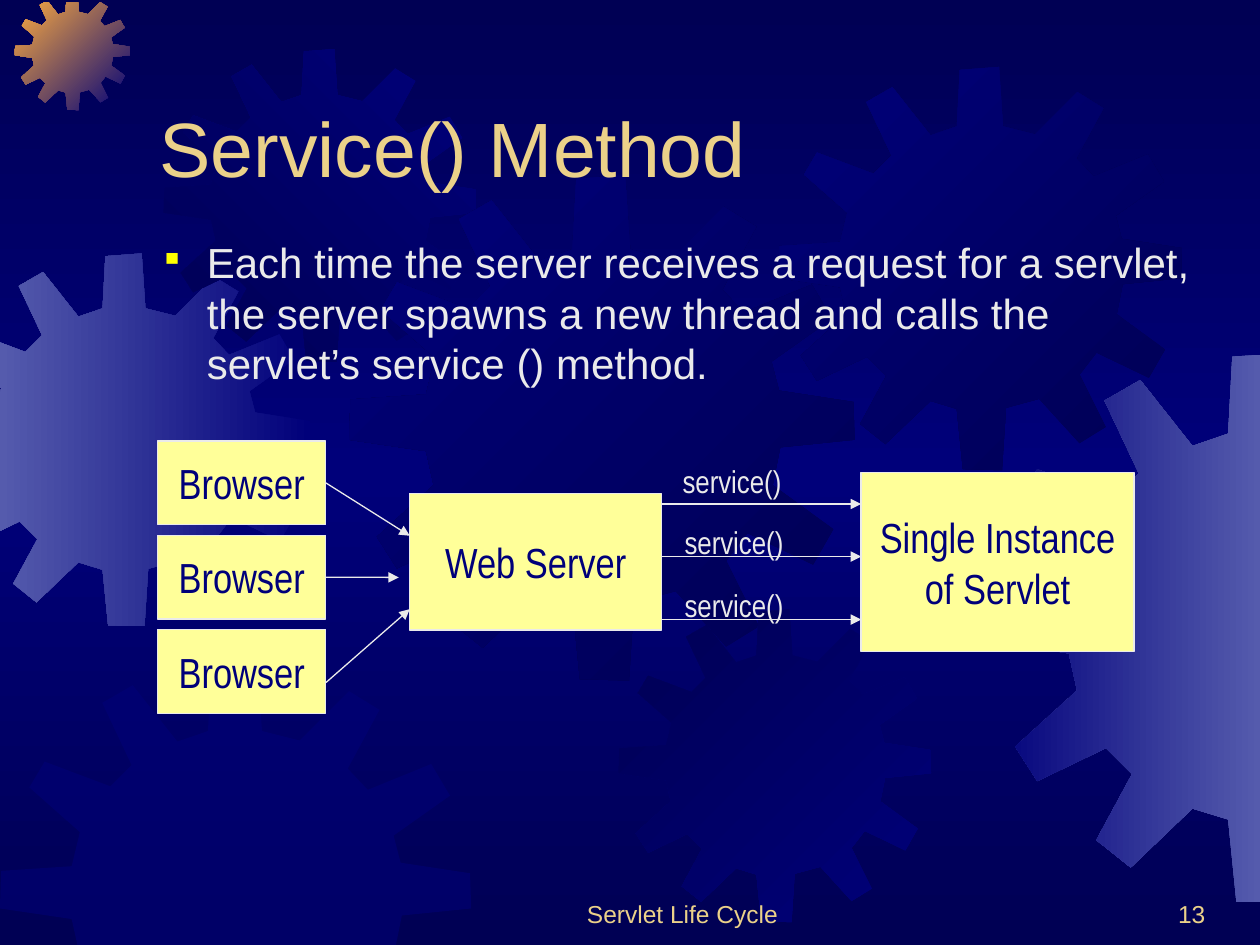
from copy import deepcopy
from itertools import pairwise

from lxml.etree import SubElement
from pptx import Presentation
from pptx.dml.color import RGBColor
from pptx.enum.shapes import MSO_CONNECTOR, MSO_SHAPE
from pptx.enum.text import MSO_ANCHOR, MSO_AUTO_SIZE, PP_ALIGN
from pptx.oxml.ns import qn
from pptx.util import Cm, Pt

NAVY = RGBColor(0x00, 0x00, 0x54)
BLUE = RGBColor(0x00, 0x00, 0x7A)
LAVENDER = RGBColor(0x55, 0x5B, 0xAD)
ORANGE = RGBColor(0xFC, 0xAB, 0x40)
GOLD = RGBColor(0xEB, 0xD1, 0x89)
PALE = RGBColor(0xEA, 0xEA, 0xEA)
CREAM = RGBColor(0xFF, 0xFF, 0x99)

TITLE = "Service() Method"
BODY = ("Each time the server receives a request for a servlet, the server spawns "
        "a new thread and calls the servlet’s service () method.")
FOOTER = "Servlet Life Cycle"
PAGE_NUMBER = "13"

SLIDE_WIDTH, SLIDE_HEIGHT = 25.4, 19.05
GEAR_UNITS = 401
GEAR_OUTLINE = [
    (255, 67), (223, 59), (219, 0), (180, 3), (177, 59), (151, 68), (113, 20), (87, 35),
    (112, 88), (94, 106), (38, 85), (25, 107), (68, 145), (61, 174), (1, 178), (0, 210),
    (61, 219), (67, 246), (22, 287), (38, 312), (88, 288), (107, 307), (81, 355), (106, 375),
    (151, 332), (177, 340), (183, 400), (222, 401), (226, 339), (259, 330), (299, 374), (325, 358),
    (299, 306), (316, 284), (368, 309), (384, 281), (336, 246), (342, 216), (401, 210), (400, 180),
    (341, 171), (335, 148), (383, 114), (367, 87), (313, 109), (296, 91), (323, 41), (297, 25),
]
GEARS = [
    (-1.25, 5.11, 7.52, (BLUE, LAVENDER), 180),
    (0.3, -0.1, 2.32, (BLUE, ORANGE), 135),
    (3.3, 0.99, 6.3, (BLUE, NAVY), 225),
    (7.04, 3.53, 10.19, (NAVY, BLUE), 135),
    (0, 13.34, 9.5, (BLUE,), 0),
    (12.47, 12.29, 6.3, (BLUE, NAVY), 135),
    (15.7, 1.35, 8.13, (NAVY, BLUE), 135),
    (19.86, 7.11, 11.1, (LAVENDER, BLUE), 180),
]

BROWSER_COUNT = 3
BROWSER_LEFT, BROWSER_TOP, BROWSER_WIDTH, BROWSER_HEIGHT = 3.18, 8.89, 3.39, 1.69
BROWSER_PITCH = 1.9
SERVER = (8.26, 9.95, 5.08, 2.75)
SERVLET = (17.36, 9.53, 5.5, 3.6)
REQUESTS = [(10.16, 8.26, 10.8), (11.64, 8.04, 11.64), (13.76, 8.26, 12.28)]
CALLS = [(10.16, 13.51, 9.19), (11.22, 13.55, 10.42), (12.49, 13.55, 11.69)]


def clip(points, axis, limit, sign):
    kept = []
    for start, end in pairwise(points + points[:1]):
        start_inside = sign * (start[axis] - limit) >= 0
        end_inside = sign * (end[axis] - limit) >= 0
        if start_inside:
            kept.append(start)
        if start_inside != end_inside:
            share = (limit - start[axis]) / (end[axis] - start[axis])
            kept.append(tuple(a + share * (b - a) for a, b in zip(start, end)))
    return kept


def paint_gradient(fill, colors, angle):
    fill.gradient()
    fill.gradient_angle = angle
    for stop, color in zip(fill.gradient_stops, colors):
        stop.color.rgb = color


def add_gear(slide, left, top, size, colors, angle):
    points = [(left + x * size / GEAR_UNITS, top + y * size / GEAR_UNITS) for x, y in GEAR_OUTLINE]
    for axis, limit, sign in [(0, 0, 1), (0, SLIDE_WIDTH, -1), (1, 0.05, 1), (1, SLIDE_HEIGHT, -1)]:
        points = clip(points, axis, limit, sign)
    points = [(Cm(x), Cm(y)) for x, y in points]
    builder = slide.shapes.build_freeform(*points[0])
    builder.add_line_segments(points[1:], close=True)
    gear = builder.convert_to_shape()
    gear.shadow.inherit = False
    gear.line.fill.background()
    if len(colors) > 1:
        paint_gradient(gear.fill, colors, angle)
    else:
        gear.fill.solid()
        gear.fill.fore_color.rgb = colors[0]
        color_element = gear._element.spPr.find(".//" + qn("a:srgbClr"))
        SubElement(color_element, qn("a:alpha"), val="50000")


def write(frame, lines, font_name, size, color, align=PP_ALIGN.LEFT, anchor=MSO_ANCHOR.TOP, wrap=True):
    frame.word_wrap = wrap
    frame.vertical_anchor = anchor
    for index, line in enumerate(lines):
        paragraph = frame.add_paragraph() if index else frame.paragraphs[0]
        paragraph.text = line
        paragraph.alignment = align
        paragraph.font.name = font_name
        paragraph.font.size = Pt(size)
        paragraph.font.color.rgb = color


def add_text(slide, box, text, *style, **options):
    shape = slide.shapes.add_textbox(*map(Cm, box))
    write(shape.text_frame, [text], *style, **options)
    return shape


def add_bullet(paragraph):
    properties = paragraph._p.get_or_add_pPr()
    properties.set("marL", str(Cm(0.95)))
    properties.set("indent", str(-Cm(0.95)))
    bullet_color = SubElement(properties, qn("a:buClr"))
    SubElement(bullet_color, qn("a:srgbClr"), val="FFFF00")
    SubElement(properties, qn("a:buSzPct"), val="80000")
    SubElement(properties, qn("a:buChar"), char="▪")


def add_box(slide, box, lines):
    shape = slide.shapes.add_shape(MSO_SHAPE.RECTANGLE, *map(Cm, box))
    shape.shadow.inherit = False
    shape.fill.solid()
    shape.fill.fore_color.rgb = CREAM
    shape.line.color.rgb = PALE
    shape.line.width = Pt(0.75)
    write(shape.text_frame, lines, "Arial Narrow", 24, BLUE, PP_ALIGN.CENTER, MSO_ANCHOR.MIDDLE, wrap=False)
    return shape


def add_arrow(slide, *ends):
    arrow = slide.shapes.add_connector(MSO_CONNECTOR.STRAIGHT, *map(Cm, ends))
    arrow.line.color.rgb = PALE
    arrow.line.width = Pt(0.75)
    SubElement(arrow.line._get_or_add_ln(), qn("a:tailEnd"), type="triangle")
    SubElement(arrow._element.spPr, qn("a:effectLst"))
    return arrow


def main():
    presentation = Presentation()
    presentation.slide_width = Cm(SLIDE_WIDTH)
    presentation.slide_height = Cm(SLIDE_HEIGHT)
    slide = presentation.slides.add_slide(presentation.slide_layouts[6])

    paint_gradient(slide.background.fill, (NAVY, BLUE), 90)
    stops = slide._element.find(".//" + qn("a:gsLst"))
    stops[1].set("pos", "50000")
    last_stop = deepcopy(stops[0])
    last_stop.set("pos", "100000")
    stops.append(last_stop)

    for gear in GEARS:
        add_gear(slide, *gear)

    add_text(slide, (2.97, 0.84, 21.59, 3.18), TITLE, "Arial", 44, GOLD, anchor=MSO_ANCHOR.BOTTOM)
    body = slide.shapes.add_textbox(Cm(2.97), Cm(4.65), Cm(21.59), Cm(11.43))
    add_bullet(body.text_frame.paragraphs[0])
    write(body.text_frame, [BODY], "Arial", 24, PALE)

    server_left, _, server_width, _ = SERVER
    add_box(slide, SERVER, ["Web Server"])
    add_box(slide, SERVLET, ["Single Instance", "of Servlet"])

    for index, (start_y, end_x, end_y) in enumerate(REQUESTS):
        top = BROWSER_TOP + index * BROWSER_PITCH
        browser = add_box(slide, (BROWSER_LEFT, top, BROWSER_WIDTH, BROWSER_HEIGHT), ["Browser"])
        arrow = add_arrow(slide, BROWSER_LEFT + BROWSER_WIDTH, start_y, end_x, end_y)
        if index < BROWSER_COUNT - 1:
            arrow.begin_connect(browser, 3)

    for line_y, label_left, label_top in CALLS:
        add_arrow(slide, server_left + server_width, line_y, SERVLET[0], line_y)
        label = add_text(slide, (label_left, label_top, 2.55, 1.02), "service()", "Arial Narrow", 18, PALE, wrap=False)
        label.text_frame.auto_size = MSO_AUTO_SIZE.SHAPE_TO_FIT_TEXT

    add_text(slide, (9.74, 17.57, 8.04, 1.27), FOOTER, "Arial", 14, GOLD, PP_ALIGN.CENTER, MSO_ANCHOR.BOTTOM)
    add_text(slide, (19.26, 17.57, 5.29, 1.27), PAGE_NUMBER, "Arial", 14, GOLD, PP_ALIGN.RIGHT, MSO_ANCHOR.BOTTOM)

    presentation.save("out.pptx")


if __name__ == "__main__":
    main()
